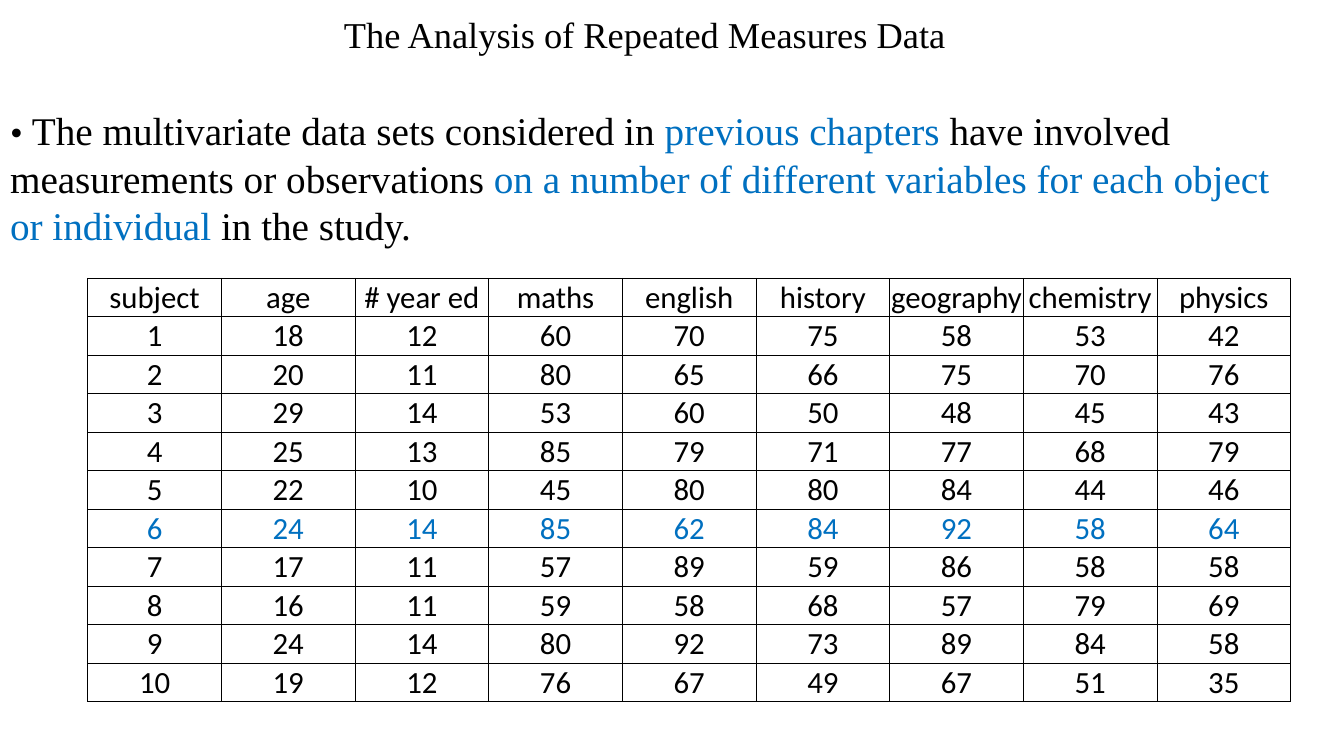
from lxml import etree
from pptx import Presentation
from pptx.dml.color import RGBColor
from pptx.enum.text import MSO_ANCHOR, MSO_AUTO_SIZE, PP_ALIGN
from pptx.oxml.ns import qn
from pptx.util import Inches, Pt

CENTER, LEFT = PP_ALIGN.CENTER, PP_ALIGN.LEFT
TOP, BOTTOM = MSO_ANCHOR.TOP, MSO_ANCHOR.BOTTOM
NO_AUTOFIT = MSO_AUTO_SIZE.NONE

BLACK, BLUE = "000000", "0070C0"
SERIF, SANS = "Times New Roman", "Calibri"

TITLE = "The Analysis of Repeated Measures Data"
STATEMENT = [
    ("• ", BLACK, 26),
    ("The multivariate data sets considered in ", BLACK, 28),
    ("previous chapters ", BLUE, 28),
    ("have involved measurements or observations ", BLACK, 28),
    ("on a number of different variables for each object or individual ", BLUE, 28),
    ("in the study.", BLACK, 28),
]
HEADINGS = ["subject", "age", "# year ed", "maths", "english", "history",
            "geography", "chemistry", "physics"]
SCORES = [
    [1, 18, 12, 60, 70, 75, 58, 53, 42],
    [2, 20, 11, 80, 65, 66, 75, 70, 76],
    [3, 29, 14, 53, 60, 50, 48, 45, 43],
    [4, 25, 13, 85, 79, 71, 77, 68, 79],
    [5, 22, 10, 45, 80, 80, 84, 44, 46],
    [6, 24, 14, 85, 62, 84, 92, 58, 64],
    [7, 17, 11, 57, 89, 59, 86, 58, 58],
    [8, 16, 11, 59, 58, 68, 57, 79, 69],
    [9, 24, 14, 80, 92, 73, 89, 84, 58],
    [10, 19, 12, 76, 67, 49, 67, 51, 35],
]
HIGHLIGHTED_SUBJECT = 6


def colour(value):
    return RGBColor.from_string(value)


def apply(target, values):
    for name, value in values.items():
        setattr(target, name, value)


class SlideBuilder:
    """Builds slide elements placed by percentages of the slide's size."""

    frame_format = {"word_wrap": True, "auto_size": NO_AUTOFIT, "vertical_anchor": TOP,
                    "margin_left": Inches(0.1), "margin_right": Inches(0.1),
                    "margin_top": Inches(0.05), "margin_bottom": Inches(0.05)}
    cell_format = {"vertical_anchor": BOTTOM, "margin_left": Inches(0.01),
                   "margin_right": Inches(0.01), "margin_top": Inches(0.01),
                   "margin_bottom": 0}
    border_width = Pt(0.5)

    def __init__(self, deck):
        self.deck = deck
        self.page = deck.slides.add_slide(deck.slide_layouts[1])

    def area(self, left, top, width, height):
        across, down = self.deck.slide_width / 100, self.deck.slide_height / 100
        return {"left": round(left * across), "top": round(top * down),
                "width": round(width * across), "height": round(height * down)}

    def add_spans(self, para, spans, font, **para_format):
        apply(para, para_format)
        for text, tint, size in spans:
            span = para.add_run()
            span.text = text
            apply(span.font, {"name": font, "size": Pt(size), "bold": False})
            span.font.color.rgb = colour(tint)

    def placeholder(self, box, area, spans, **para_format):
        apply(box, self.area(*area))
        apply(box.text_frame, self.frame_format)
        para = box.text_frame.paragraphs[0]
        self.add_spans(para, spans, SERIF, space_before=Pt(0), **para_format)
        return para

    def title(self, area, text):
        self.placeholder(self.page.shapes.title, area, [(text, BLACK, 26)],
                         alignment=CENTER, line_spacing=Pt(36))

    def body(self, area, spans):
        para = self.placeholder(self.page.placeholders[1], area, spans,
                                alignment=LEFT, line_spacing=Pt(34))
        properties = para._p.get_or_add_pPr()
        for name in ("marL", "indent"):
            properties.set(name, "0")
        etree.SubElement(properties, qn("a:buNone"))

    def border(self, cell):
        properties = cell._tc.get_or_add_tcPr()
        for index, side in enumerate(("lnL", "lnR", "lnT", "lnB")):
            line = etree.Element(qn(f"a:{side}"), w=str(self.border_width))
            fill = etree.SubElement(line, qn("a:solidFill"))
            etree.SubElement(fill, qn("a:srgbClr"), val=BLACK)
            properties.insert(index, line)

    def table(self, area, rows, highlighted):
        place = self.area(*area)
        table = self.page.shapes.add_table(len(rows), len(rows[0]), **place).table
        apply(table, {"first_row": False, "horz_banding": False})
        for column in table.columns:
            column.width = place["width"] // len(rows[0])
        for row in table.rows:
            row.height = place["height"] // len(rows)
        for row_index, values in enumerate(rows):
            tint = BLUE if row_index == highlighted else BLACK
            for column_index, value in enumerate(values):
                cell = table.cell(row_index, column_index)
                apply(cell, self.cell_format)
                cell.fill.background()
                self.border(cell)
                self.add_spans(cell.text_frame.paragraphs[0], [(str(value), tint, 22)],
                               SANS, alignment=CENTER)


def main():
    deck = Presentation()
    apply(deck, {"slide_width": Inches(13.33), "slide_height": Inches(7.5)})
    builder = SlideBuilder(deck)
    builder.title((0, 0, 96, 8), TITLE)
    builder.body((0, 13.33, 96, 20.27), STATEMENT)
    builder.table((6.53, 36.8, 89.5, 55.33), [HEADINGS, *SCORES], HIGHLIGHTED_SUBJECT)
    deck.save("out.pptx")


if __name__ == "__main__":
    main()
